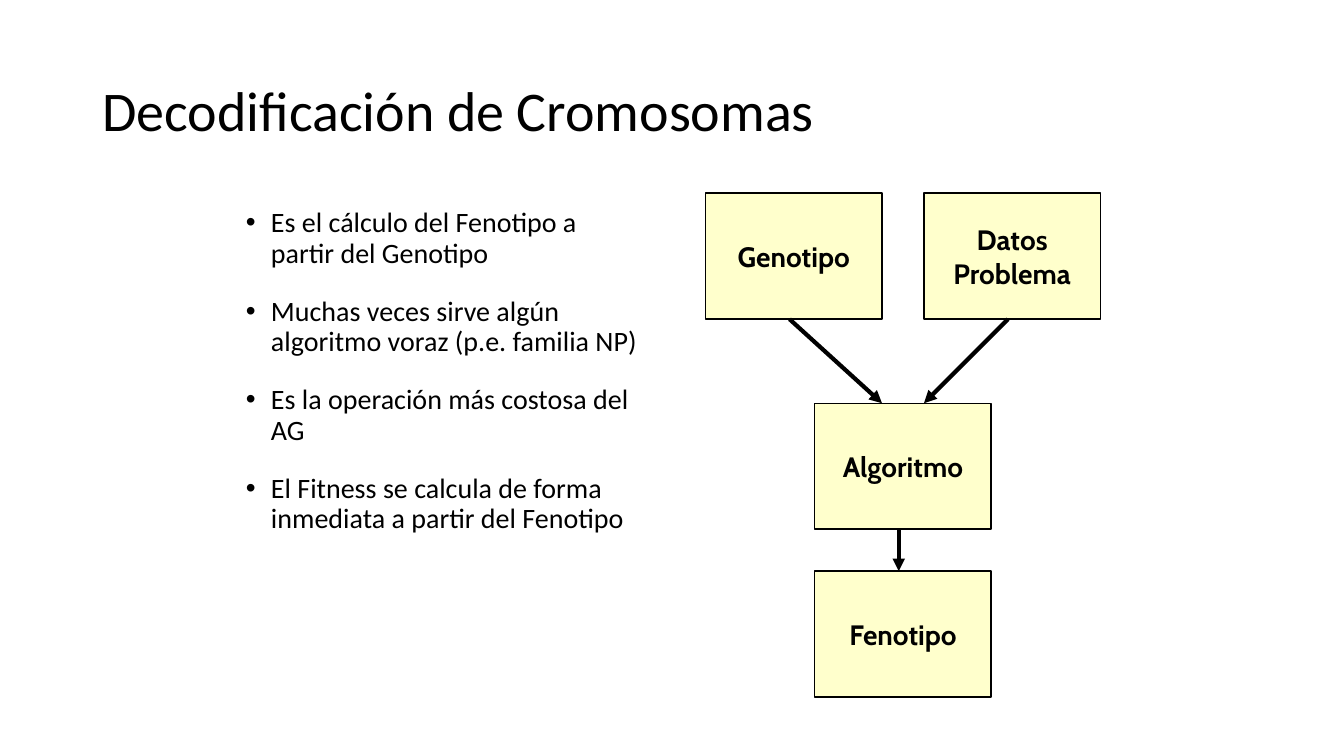
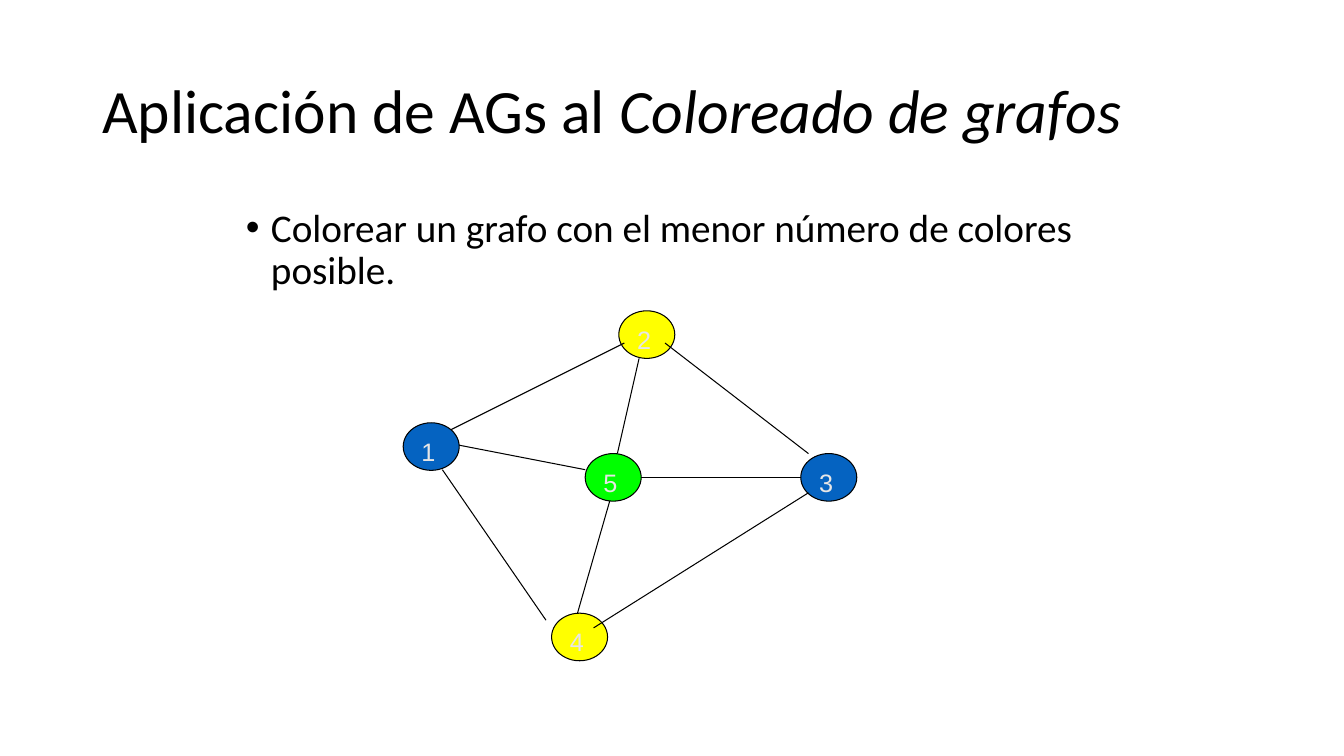
from pptx import Presentation
from pptx.dml.color import RGBColor
from pptx.enum.shapes import MSO_CONNECTOR as Link, MSO_SHAPE as Shape
from pptx.enum.text import MSO_ANCHOR as Anchor, PP_ALIGN as Align
from pptx.oxml.ns import qn
from pptx.util import Pt
from lxml.etree import SubElement as Sub

hue = RGBColor.from_string
BLACK, CREAM, PALE = "000000", "FFFFCC", "E7E6E6"
BLUE, YELLOW, GREEN = "0563C1", "FFFF00", "00FF00"


def style(frame, size, font, tint=BLACK, bold=False):
    for para in frame.paragraphs:
        for run in para.runs:
            run.font.size = Pt(size)
            run.font.name = font
            run.font.bold = bold
            run.font.color.rgb = hue(tint)


def join(slide, ends, width, arrow=False):
    line = slide.shapes.add_connector(Link.STRAIGHT, *map(Pt, ends))
    line.line.color.rgb = hue(BLACK)
    line.line.width = Pt(width)
    if arrow:
        Sub(line.line._get_or_add_ln(), qn("a:tailEnd"), type="triangle")
    Sub(line._element.spPr, qn("a:effectLst"))


deck = Presentation()
deck.slide_width, deck.slide_height = Pt(960), Pt(540)

pages = [
    (["Decodificación de Cromosomas"], 40,
     ["Es el cálculo del Fenotipo a partir del Genotipo",
      "Muchas veces sirve algún algoritmo voraz (p.e. familia NP)",
      "Es la operación más costosa del AG",
      "El Fitness se calcula de forma inmediata a partir del Fenotipo"],
     20, (294, 329)),
    (["Aplicación de AGs al ", "Coloreado de grafos"], 44,
     ["Colorear un grafo con el menor número de colores posible."],
     28, (612, 77)),
]
slides = []
for title, large, points, size, area in pages:
    slide = deck.slides.add_slide(deck.slide_layouts[6])
    slides.append(slide)

    head = slide.shapes.add_textbox(Pt(66), Pt(29), Pt(828), Pt(104)).text_frame
    head.word_wrap = True
    head.vertical_anchor = Anchor.MIDDLE
    para = head.paragraphs[0]
    para.line_spacing = 0.9
    for text in title:
        para.add_run().text = text
    for run in para.runs[1:]:
        run.font.italic = True
    style(head, large, "Calibri")

    body = slide.shapes.add_textbox(Pt(168.5), Pt(145.5), *map(Pt, area)).text_frame
    body.word_wrap = True
    body.text = "\n".join(points)
    for spot, para in enumerate(body.paragraphs):
        para.line_spacing = 0.9
        para.space_before = Pt(20 if spot else 10)
        props = para._p.get_or_add_pPr()
        props.set("marL", str(Pt(18)))
        props.set("indent", str(-Pt(18)))
        Sub(props, qn("a:buFont"), typeface="Arial")
        Sub(props, qn("a:buChar"), char="•")
    style(body, size, "Calibri")

flow, graph = slides

boxes = [("Genotipo", 504, 138), ("Datos\nProblema", 660, 138),
         ("Algoritmo", 582, 288), ("Fenotipo", 582, 408)]
for text, left, top in boxes:
    box = flow.shapes.add_shape(Shape.RECTANGLE, Pt(left), Pt(top), Pt(126), Pt(90))
    box.shadow.inherit = False
    box.fill.solid()
    box.fill.fore_color.rgb = hue(CREAM)
    box.line.color.rgb = hue(BLACK)
    box.line.width = Pt(1)
    frame = box.text_frame
    frame.word_wrap = False
    frame.vertical_anchor = Anchor.MIDDLE
    frame.text = text
    for para in frame.paragraphs:
        para.alignment = Align.CENTER
    style(frame, 20, "Cabin", bold=True)

arrows = [(564, 228, 630, 288), (720, 228, 660, 288), (642, 378, 642, 408)]
for ends in arrows:
    join(flow, ends, 3, arrow=True)

nodes = [(288, 302, BLUE), (442, 222, YELLOW), (572, 324, BLUE),
         (394, 438, YELLOW), (418, 324, GREEN)]
for count, (left, top, tint) in enumerate(nodes, 1):
    node = graph.shapes.add_shape(Shape.OVAL, Pt(left), Pt(top), Pt(40), Pt(34))
    node.shadow.inherit = False
    node.fill.solid()
    node.fill.fore_color.rgb = hue(tint)
    node.line.color.rgb = hue(BLACK)
    node.line.width = Pt(0.75)
    label = graph.shapes.add_textbox(Pt(left + 6), Pt(top + 6), Pt(28), Pt(29)).text_frame
    label.word_wrap = True
    label.text = str(count)
    label.paragraphs[0].space_before = Pt(9)
    style(label, 18, "Arial", PALE)

edges = [(322, 307, 446, 245), (316, 335.5, 390, 443), (424, 448.5, 577.5, 352),
         (475, 245, 577.5, 324), (328, 318, 418, 335.5), (412.5, 438, 435.5, 358),
         (458, 341, 572, 341), (441, 324, 456.5, 256)]
for ends in edges:
    join(graph, ends, 0.75)

deck.save("out.pptx")
